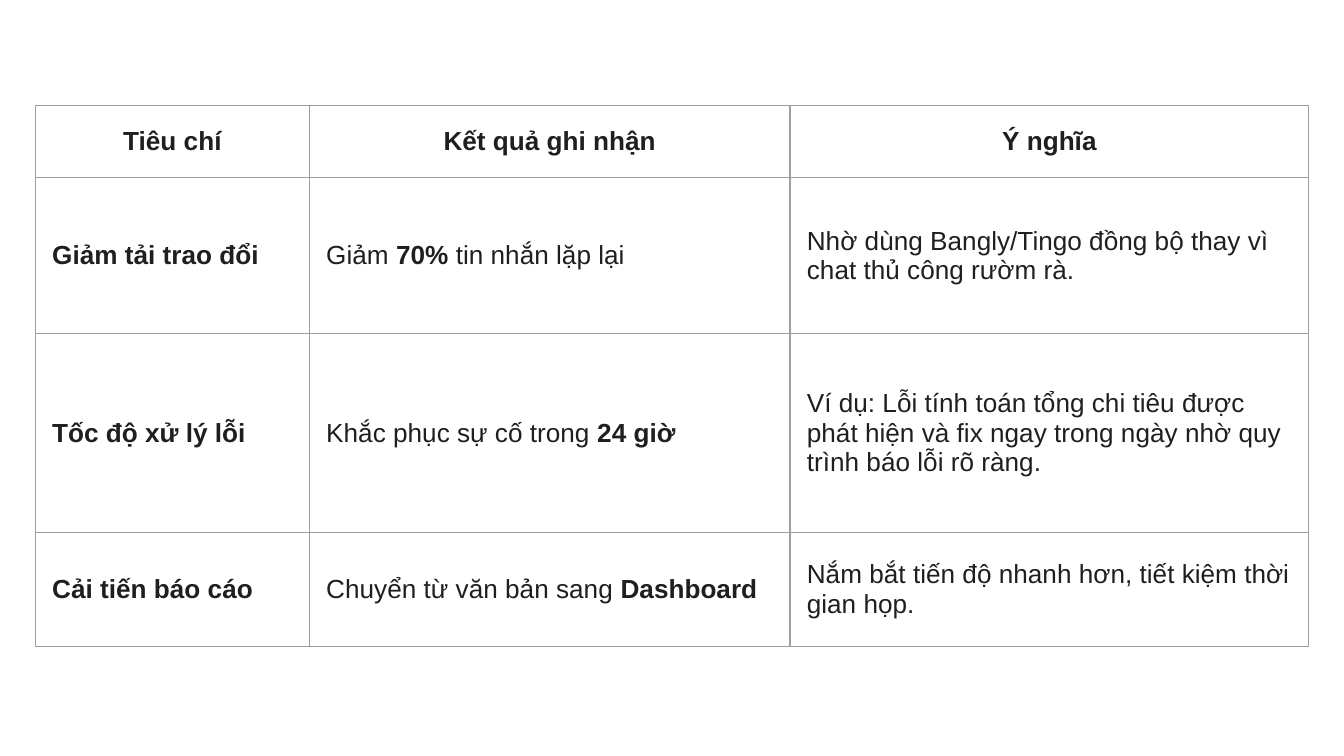
import pptx
import pptx.util
import pptx.dml.color
import pptx.enum.text
import pptx.oxml
import pptx.oxml.ns

Pt = pptx.util.Pt
INK = pptx.dml.color.RGBColor(0x1F, 0x1F, 0x1F)
GRID = pptx.dml.color.RGBColor(0x9E, 0x9E, 0x9E)

# Content: text between asterisks is bold
ROWS = [
    ["*Tiêu chí*", "*Kết quả ghi nhận*", "*Ý nghĩa*"],
    ["*Giảm tải trao đổi*", "Giảm *70%* tin nhắn lặp lại",
     "Nhờ dùng Bangly/Tingo đồng bộ thay vì chat thủ công rườm rà."],
    ["*Tốc độ xử lý lỗi*", "Khắc phục sự cố trong *24 giờ*",
     "Ví dụ: Lỗi tính toán tổng chi tiêu được phát hiện và fix ngay trong ngày "
     "nhờ quy trình báo lỗi rõ ràng."],
    ["*Cải tiến báo cáo*", "Chuyển từ văn bản sang *Dashboard*",
     "Nắm bắt tiến độ nhanh hơn, tiết kiệm thời gian họp."],
]

# Layout
SLIDE_WIDTH, SLIDE_HEIGHT = 720, 405
LEFT, TOP = 19, 56.6
COLUMN_WIDTHS = [146.8, 257.5, 277.9]
ROW_HEIGHTS = [38.6, 83.6, 106.4, 61.2]
BORDER_WIDTH = 0.75

CELL_FORMAT = {
    "margin_left": Pt(9), "margin_right": Pt(9),
    "margin_top": Pt(6), "margin_bottom": Pt(6),
    "vertical_anchor": pptx.enum.text.MSO_ANCHOR.MIDDLE,
}
FONT_FORMAT = {"name": "Arial", "size": Pt(14)}


def apply_format(target, values):
    for name, value in values.items():
        setattr(target, name, value)


def add_borders(cell):
    properties = cell._tc.get_or_add_tcPr()
    for side in ("lnL", "lnR", "lnT", "lnB"):
        properties.append(pptx.oxml.parse_xml(
            f'<a:{side} {pptx.oxml.ns.nsdecls("a")} w="{Pt(BORDER_WIDTH)}">'
            f'<a:solidFill><a:srgbClr val="{GRID}"/></a:solidFill></a:{side}>'))


def write_cell(cell, text, alignment):
    apply_format(cell, CELL_FORMAT)
    add_borders(cell)
    cell.fill.background()
    para = cell.text_frame.paragraphs[0]
    para.alignment = alignment
    for index, part in enumerate(text.split("*")):
        if part:
            span = para.add_run()
            span.text = part
            apply_format(span.font, FONT_FORMAT)
            span.font.bold = index % 2 == 1
            span.font.color.rgb = INK


def main():
    deck = pptx.Presentation()
    deck.slide_width, deck.slide_height = Pt(SLIDE_WIDTH), Pt(SLIDE_HEIGHT)
    page = deck.slides.add_slide(deck.slide_layouts[6])

    # Results table
    table = page.shapes.add_table(
        len(ROWS), len(COLUMN_WIDTHS), Pt(LEFT), Pt(TOP),
        Pt(sum(COLUMN_WIDTHS)), Pt(sum(ROW_HEIGHTS))).table
    apply_format(table, {"first_row": False, "horz_banding": False})
    for column, width in zip(table.columns, COLUMN_WIDTHS):
        column.width = Pt(width)
    for row, height in zip(table.rows, ROW_HEIGHTS):
        row.height = Pt(height)

    # Header is centred, body is left-aligned
    align = pptx.enum.text.PP_ALIGN
    for row_index, texts in enumerate(ROWS):
        alignment = align.LEFT if row_index else align.CENTER
        for column_index, text in enumerate(texts):
            write_cell(table.cell(row_index, column_index), text, alignment)

    deck.save("out.pptx")


if __name__ == "__main__":
    main()
